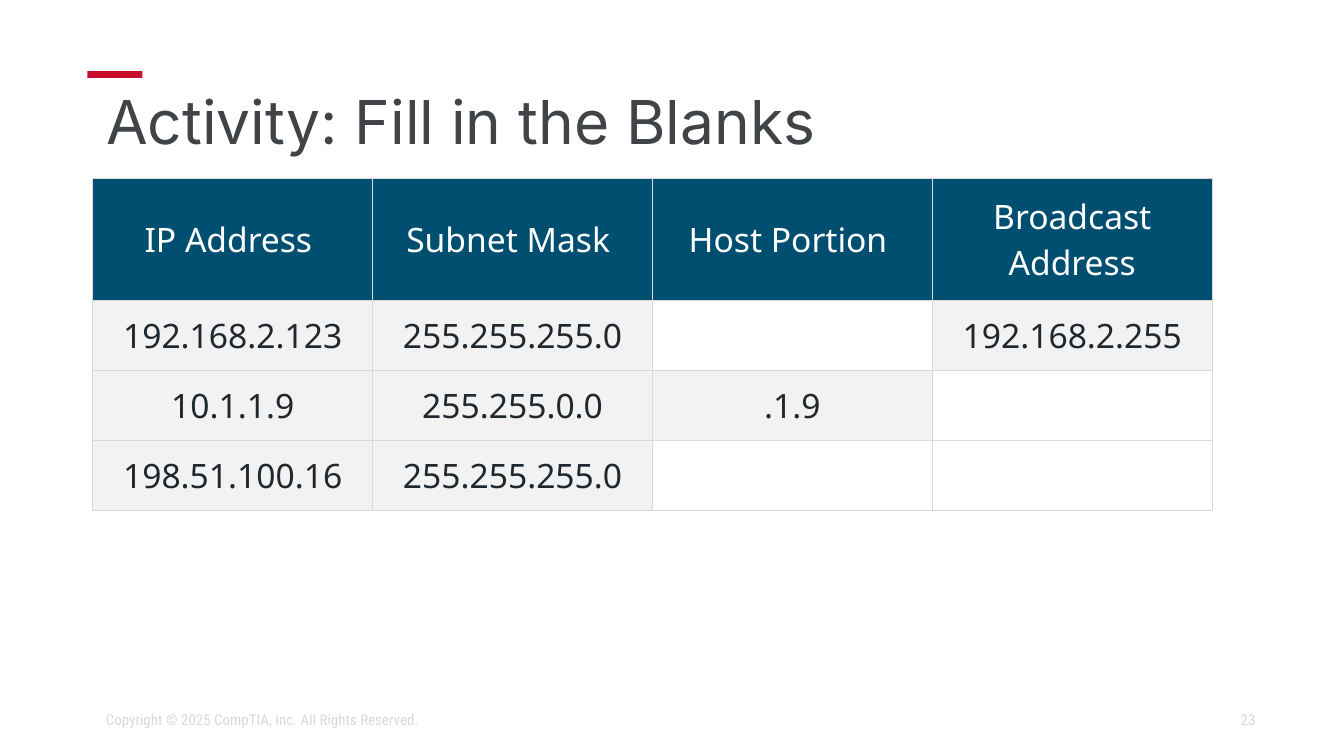
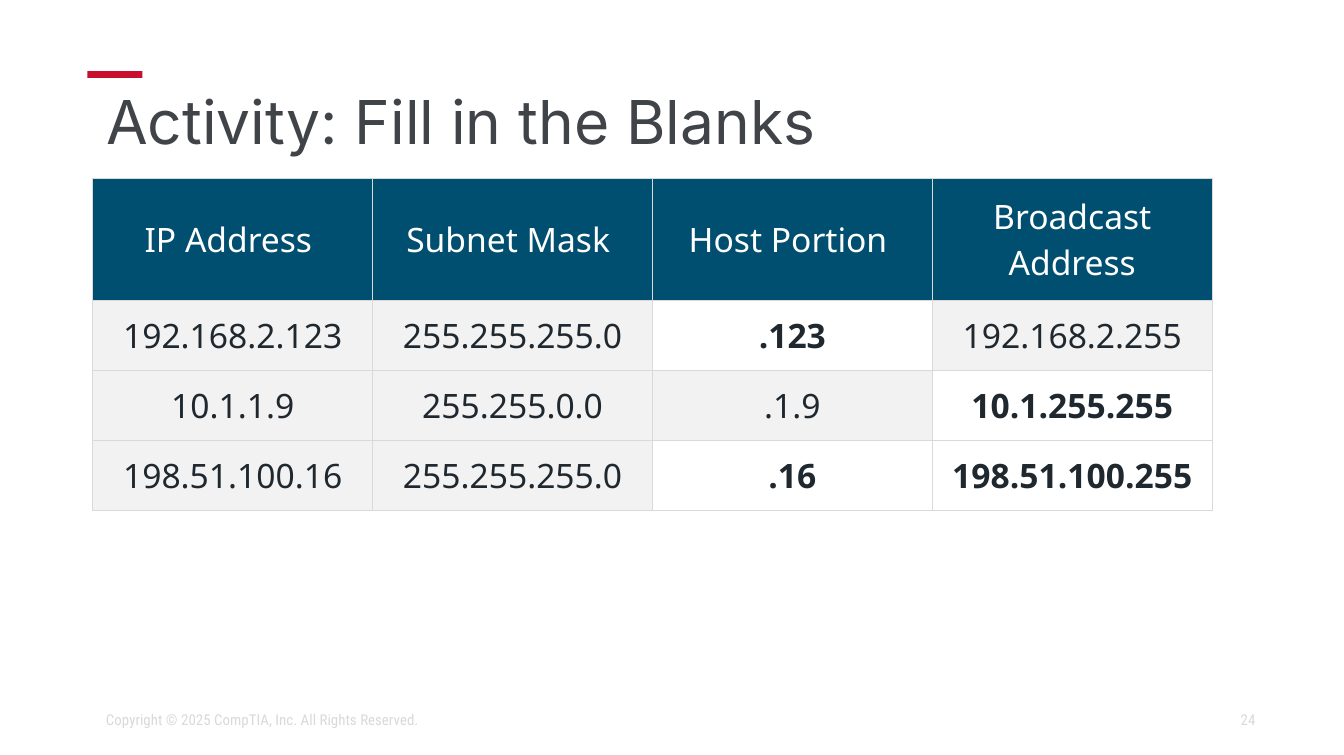
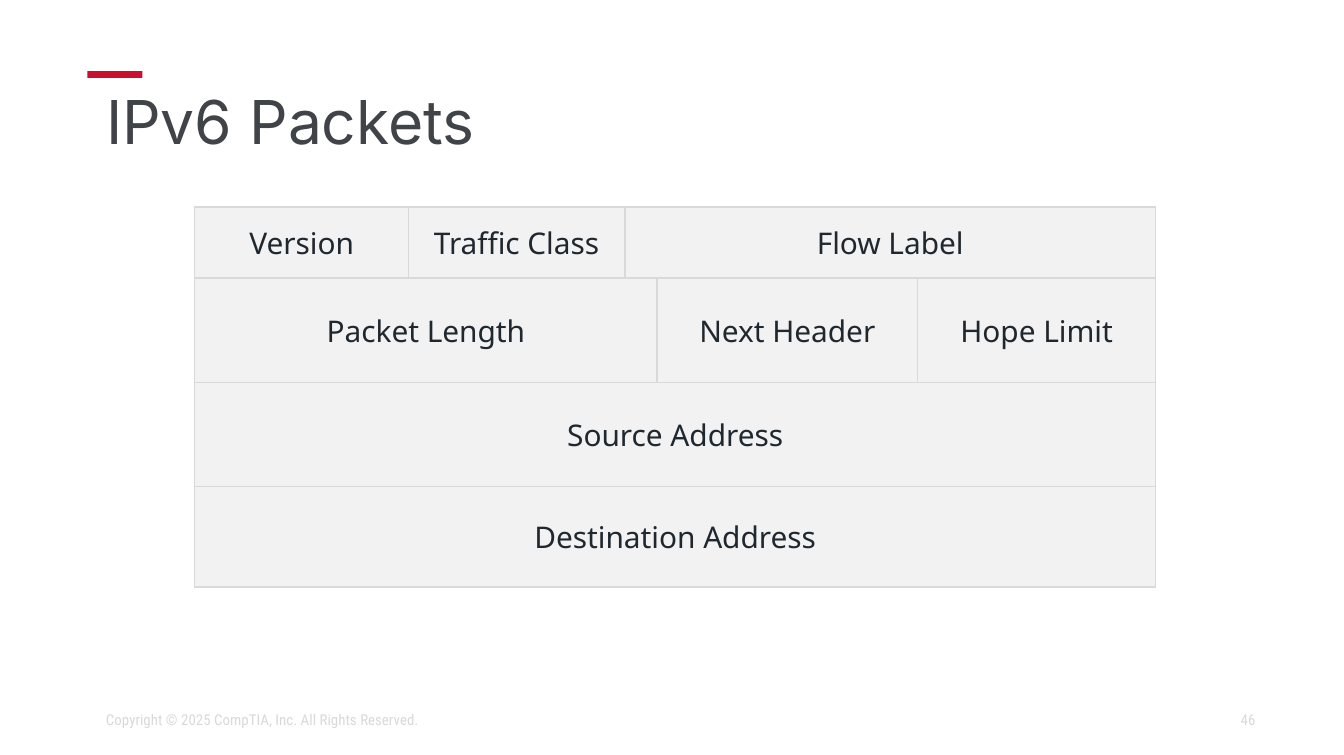
import dataclasses

import lxml.etree
import pptx
import pptx.dml.color
import pptx.enum.shapes
import pptx.enum.text
import pptx.oxml.ns
import pptx.util

Inches = pptx.util.Inches
ALIGN = pptx.enum.text.PP_ALIGN
ANCHOR = pptx.enum.text.MSO_ANCHOR


@dataclasses.dataclass(frozen=True)
class Theme:
    """Colours, fonts and type sizes shared by the slides."""

    accent: str = "C8102E"
    title: str = "404448"
    text: str = "20282F"
    white: str = "FFFFFF"
    header: str = "004F70"
    panel: str = "F2F2F2"
    rule: str = "D9D9D9"
    title_font: str = "Inter"
    body_font: str = "Noto Sans"
    footer_font: str = "Roboto Condensed"
    title_size: float = 32.4
    table_size: float = 18
    packet_size: float = 16
    footer_size: float = 8
    border_width: float = 0.75


THEME = Theme()
LEFT = 0.69
COPYRIGHT = "Copyright © 2025 CompTIA, Inc. All Rights Reserved."

ACTIVITY_ROWS = [
    ["IP Address ", "Subnet Mask ", "Host Portion ", "Broadcast Address"],
    ["192.168.2.123", "255.255.255.0", ".123", "192.168.2.255"],
    ["10.1.1.9", "255.255.0.0", ".1.9", "10.1.255.255"],
    ["198.51.100.16", "255.255.255.0", ".16", "198.51.100.255"],
]
ANSWERS = {(1, 2), (2, 3), (3, 2), (3, 3)}

PACKET_ROWS = [
    [("Version", 1), ("Traffic Class", 1), ("Flow Label", 3)],
    [("Packet Length", 3), ("Next Header", 1), ("Hope Limit", 1)],
    [("Source Address", 5)],
    [("Destination Address", 5)],
]


def rgb(value):
    """Return the colour for a hex string."""
    return pptx.dml.color.RGBColor.from_string(value)


def style_paragraph(p, name, size, color, align=ALIGN.LEFT, bold=False):
    """Set the alignment and font of a paragraph."""
    p.alignment = align
    p.font.name = name
    p.font.size = pptx.util.Pt(size)
    p.font.color.rgb = rgb(color)
    p.font.bold = bold


def add_title(s, text):
    """Place the title and the accent bar above it."""
    bar = s.shapes.add_shape(
        pptx.enum.shapes.MSO_SHAPE.RECTANGLE,
        Inches(0.65), Inches(0.53), Inches(0.41), Inches(0.05),
    )
    bar.shadow.inherit = False
    bar.fill.solid()
    bar.fill.fore_color.rgb = rgb(THEME.accent)
    bar.line.fill.background()

    sp = s.shapes.title
    sp.left, sp.top = Inches(LEFT), Inches(0.64)
    sp.width, sp.height = Inches(8.62), Inches(0.63)
    tf = sp.text_frame
    tf.text = text
    tf.auto_size = pptx.enum.text.MSO_AUTO_SIZE.NONE
    tf.vertical_anchor = ANCHOR.TOP
    p = tf.paragraphs[0]
    p.line_spacing = 0.9
    style_paragraph(p, THEME.title_font, THEME.title_size, THEME.title)


def add_footer_text(s, text, left, width, align):
    """Add one text box on the footer line."""
    sp = s.shapes.add_textbox(Inches(left), Inches(5.21), Inches(width), Inches(0.3))
    tf = sp.text_frame
    tf.text = text
    tf.word_wrap = True
    tf.vertical_anchor = ANCHOR.MIDDLE
    style_paragraph(
        tf.paragraphs[0], THEME.footer_font, THEME.footer_size, THEME.rule, align
    )


def add_slide(prs, title, number):
    """Add a slide with its title, accent bar and footer."""
    s = prs.slides.add_slide(prs.slide_layouts[5])
    add_title(s, title)
    add_footer_text(s, str(number), 7.06, 2.38, ALIGN.RIGHT)
    add_footer_text(s, COPYRIGHT, LEFT, 4.31, ALIGN.LEFT)
    return s


def add_grid(s, left, top, widths, heights):
    """Add a plain bordered table and return it."""
    table = s.shapes.add_table(
        len(heights), len(widths),
        Inches(left), Inches(top), Inches(sum(widths)), Inches(sum(heights)),
    ).table
    table.first_row = table.horz_banding = False
    for column, width in zip(table.columns, widths):
        column.width = Inches(width)
    for row, height in zip(table.rows, heights):
        row.height = Inches(height)
    for cell in table.iter_cells():
        set_borders(cell)
    return table


def set_borders(cell):
    """Draw a thin rule on each side of a cell."""
    qn = pptx.oxml.ns.qn
    tc_pr = cell._tc.get_or_add_tcPr()
    width = str(pptx.util.Pt(THEME.border_width))
    for side in ("a:lnL", "a:lnR", "a:lnT", "a:lnB"):
        ln = lxml.etree.SubElement(tc_pr, qn(side), w=width)
        fill = lxml.etree.SubElement(ln, qn("a:solidFill"))
        lxml.etree.SubElement(fill, qn("a:srgbClr"), val=THEME.rule)


def fill_cell(cell, text, fill, size, color=THEME.text, bold=False):
    """Set the text and colours of a cell."""
    cell.text = text
    cell.vertical_anchor = ANCHOR.MIDDLE
    cell.fill.solid()
    cell.fill.fore_color.rgb = rgb(fill)
    p = cell.text_frame.paragraphs[0]
    style_paragraph(p, THEME.body_font, size, color, ALIGN.CENTER, bold)


def add_activity_table(s, solved):
    """Add the addressing exercise, with or without its answers."""
    table = add_grid(s, LEFT, 1.33, [8.33 / 4] * 4, [0.91] + [0.52] * 3)
    for i, row in enumerate(ACTIVITY_ROWS):
        for j, text in enumerate(row):
            cell = table.cell(i, j)
            if i == 0:
                fill_cell(cell, text, THEME.header, THEME.table_size, THEME.white)
            elif (i, j) in ANSWERS:
                answer = text if solved else ""
                fill_cell(cell, answer, THEME.white, THEME.table_size, bold=True)
            else:
                fill_cell(cell, text, THEME.panel, THEME.table_size)


def add_packet_table(s):
    """Add the packet layout with its merged fields."""
    widths = [1.59, 1.61, 0.19, 1.94, 1.77]
    table = add_grid(s, 1.45, 1.54, widths, [0.53, 0.78, 0.77, 0.75])
    for i, fields in enumerate(PACKET_ROWS):
        j = 0
        for text, span in fields:
            cell = table.cell(i, j)
            if span > 1:
                cell.merge(table.cell(i, j + span - 1))
            fill_cell(cell, text, THEME.panel, THEME.packet_size)
            j += span


def main():
    """Build and save the presentation."""
    prs = pptx.Presentation()
    prs.slide_width, prs.slide_height = Inches(10), Inches(5.62)
    for number, solved in ((23, False), (24, True)):
        s = add_slide(prs, "Activity: Fill in the Blanks", number)
        add_activity_table(s, solved)
    add_packet_table(add_slide(prs, "IPv6 Packets", 46))
    prs.save("out.pptx")


if __name__ == "__main__":
    main()
